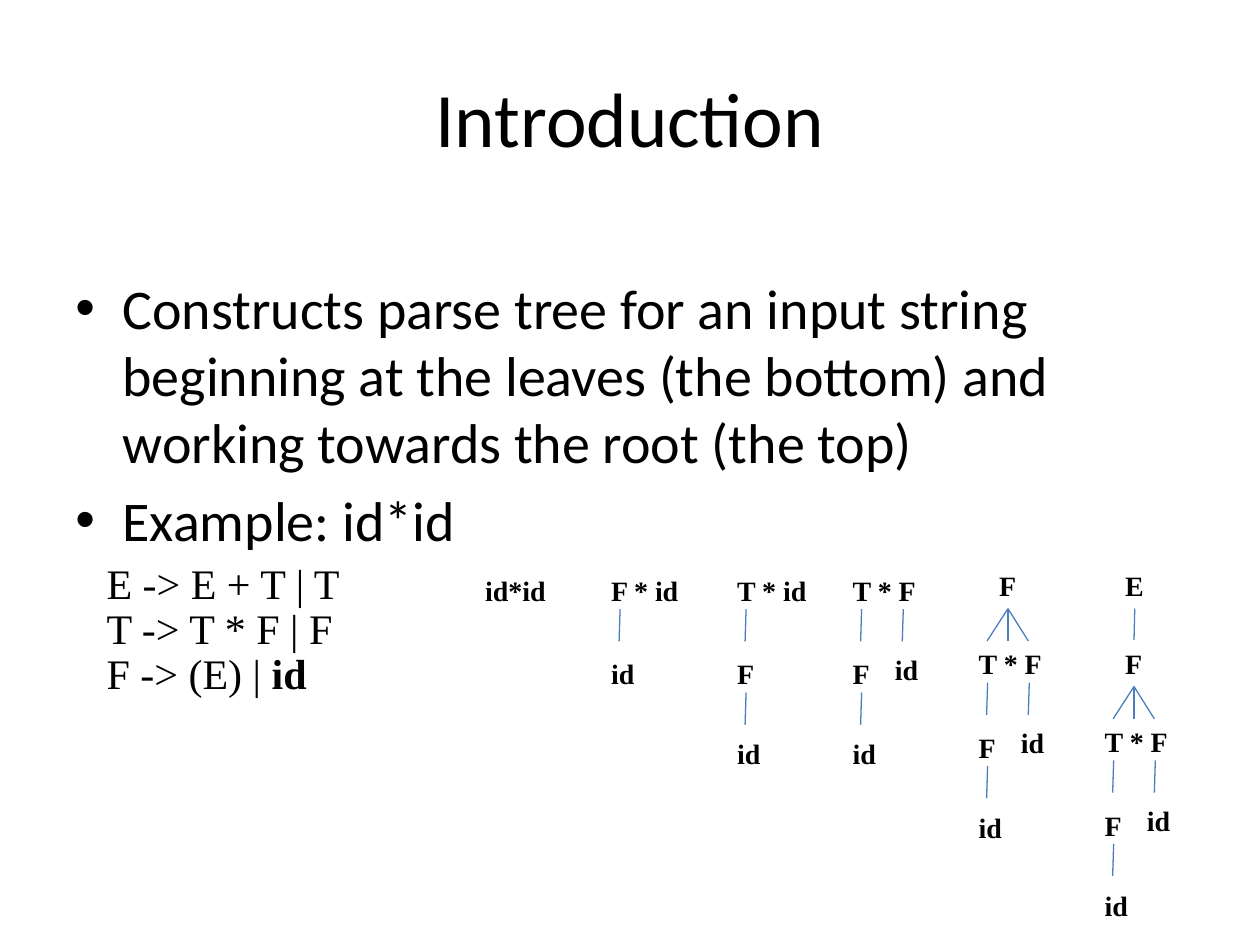
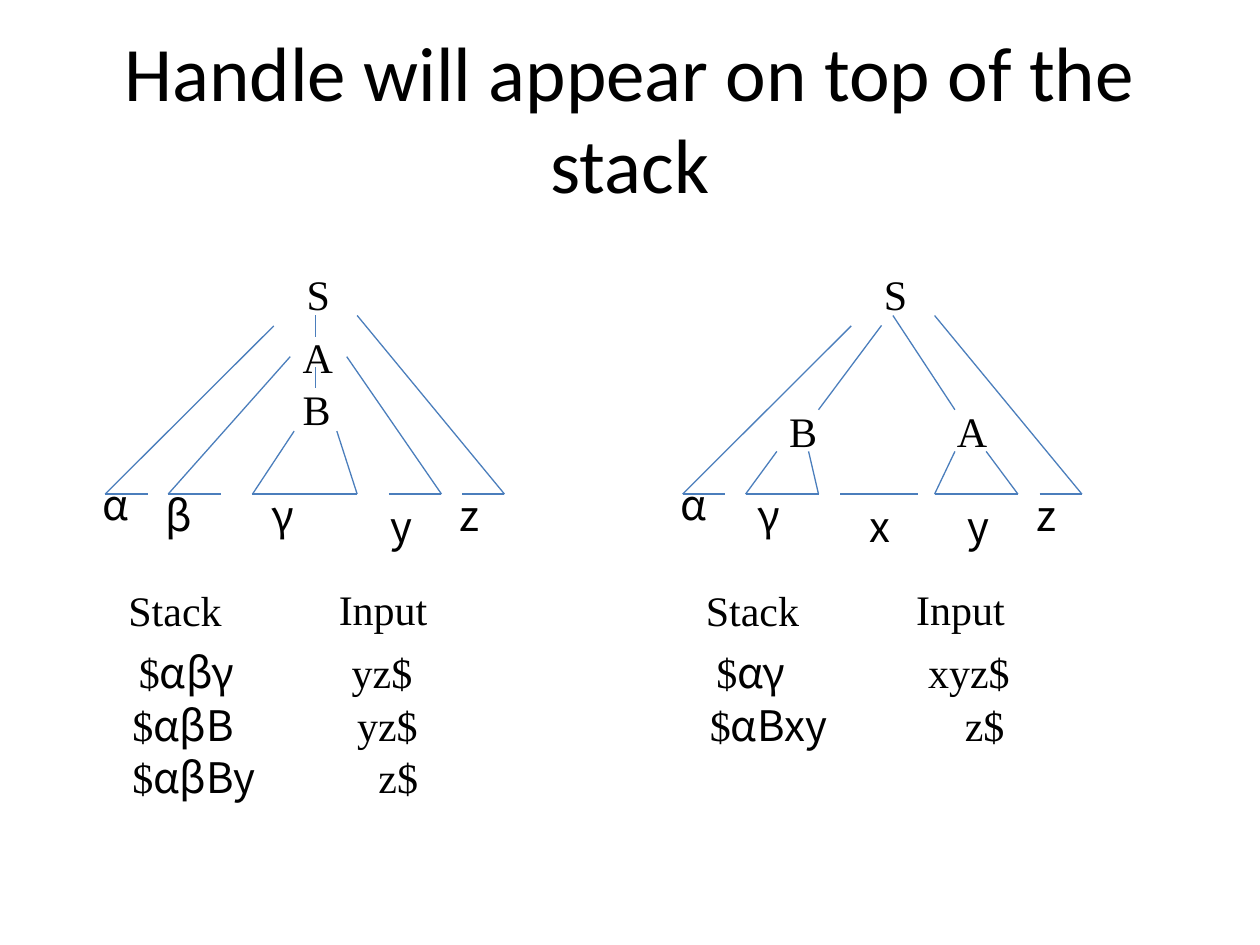
from dataclasses import dataclass

from lxml.etree import SubElement
from pptx import Presentation
from pptx.dml.color import RGBColor
from pptx.enum.shapes import MSO_CONNECTOR
from pptx.enum.text import MSO_ANCHOR, PP_ALIGN
from pptx.oxml.ns import qn
from pptx.util import Cm, Pt


@dataclass(frozen=True)
class Theme:
    ink: RGBColor = RGBColor(0, 0, 0)
    edge: RGBColor = RGBColor(0x4B, 0x7E, 0xBC)
    sans: str = "Calibri"
    serif: str = "Times New Roman"
    greek: str = "Noto Sans CJK JP"
    title: int = 44
    body: int = 32
    text: int = 24
    node: int = 16
    rule: float = 0.75


T = Theme()

# Box widths in cm, by word
NODES = {"F": 0.86, "E": 0.89, "id": 0.99, "id*id": 1.9}
WIDTHS = {"S": 0.99, "A": 1.14, "B": 1.09, "x": 0.94, "y": 0.94, "z": 0.94,
          "Stack": 2.41, "Input": 2.31, "yz$": 1.75, "xyz$": 2.18, "z$": 1.32}
WIDE, GREEK, ROW = 2.11, 1.37, 3.5


# Shared parts
def add_run(para, text, size, font, bold=False):
    run = para.add_run()
    run.text = text
    run.font.size = Pt(size)
    run.font.name = font
    run.font.bold = bold
    run.font.color.rgb = T.ink


def add_box(slide, x, y, w, h, wrap=True):
    box = slide.shapes.add_textbox(Cm(x), Cm(y), Cm(w), Cm(h))
    box.text_frame.word_wrap = wrap
    return box


def add_line(slide, x1, y1, x2, y2):
    line = slide.shapes.add_connector(
        MSO_CONNECTOR.STRAIGHT, Cm(x1), Cm(y1), Cm(x2), Cm(y2))
    line.line.color.rgb = T.edge
    line.line.width = Pt(T.rule)
    SubElement(line._element.spPr, qn("a:effectLst"))
    return line


def add_slide(deck, text):
    slide = deck.slides.add_slide(deck.slide_layouts[5])
    head = slide.shapes.title
    head.left, head.top = Cm(1.27), Cm(0.76)
    head.width, head.height = Cm(22.86), Cm(3.18)
    head.text_frame.vertical_anchor = MSO_ANCHOR.MIDDLE
    para = head.text_frame.paragraphs[0]
    para.alignment = PP_ALIGN.CENTER
    add_run(para, text, T.title, T.sans)
    return slide


def add_paras(frame, items):
    """Yield one paragraph of the frame for each item."""
    for i, item in enumerate(items):
        yield (frame.add_paragraph() if i else frame.paragraphs[0]), item


def set_indent(para, size):
    props = para._p.get_or_add_pPr()
    props.set("marL", str(Cm(size)))
    props.set("indent", str(-Cm(size)))
    return props


# Introduction: bullets and grammar
def add_points(slide, x, y, items):
    frame = add_box(slide, x, y, 22.86, 5).text_frame
    for para, item in add_paras(frame, items):
        para.space_before = Pt(0.2 * T.body)
        props = set_indent(para, 0.95)
        SubElement(props, qn("a:buFont"), typeface="Arial")
        SubElement(props, qn("a:buChar"), char="•")
        add_run(para, item, T.body, T.sans)


def add_rules(slide, x, y, rules):
    frame = add_box(slide, x, y, 12.7, 3.02).text_frame
    for para, (plain, bold) in add_paras(frame, rules):
        set_indent(para, 1.27)
        para.line_spacing = 0.9
        add_run(para, plain, T.text, T.serif)
        if bold:
            add_run(para, bold, T.text, T.serif, True)


# Introduction: steps of the parse
def add_node(slide, x, y, text):
    box = add_box(slide, x, y, NODES.get(text, WIDE), 0.94, False)
    add_run(box.text_frame.paragraphs[0], text, T.node, T.serif, True)
    return box


def add_chain(slide, x, y, words):
    drops = (0, 1.69, 3.3)
    for word, drop in zip(words, drops):
        add_node(slide, x, y + drop, word)
    for start in (0.85, 2.53)[:len(words) - 1]:
        add_line(slide, x + 0.43, y + start, x + 0.41, y + start + 0.65)


def add_fork(slide, x, y):
    """Chain for T * F with a second branch on its right."""
    add_chain(slide, x, y, ("T * F", "F", "id"))
    add_line(slide, x + 1.27, y + 0.85, x + 1.25, y + 1.5)
    add_node(slide, x + 0.85, y + 1.6, "id")


def add_tree(slide, x, y):
    """Fork under a root F; returns the root."""
    root = add_node(slide, x + 0.41, y, "F")
    for end in (0.42, 0.84, 1.25):
        line = add_line(slide, x + 0.84, y + 0.94, x + end, y + 1.59)
        line.begin_connect(root, 2)
    add_fork(slide, x, y + 1.58)
    return root


def add_steps(slide, x, y):
    add_chain(slide, x, y, ("id*id",))
    add_chain(slide, x + 2.54, y, ("F * id", "id"))
    add_chain(slide, x + 5.08, y, ("T * id", "F", "id"))
    add_fork(slide, x + 7.41, y)
    add_tree(slide, x + 9.95, y - 0.1)
    last = x + 12.49
    root = add_tree(slide, last, y + 1.47)
    start = add_node(slide, last + 0.41, y - 0.1, "E")
    line = add_line(slide, last + 0.84, y + 0.84, last + 0.84, y + 1.47)
    line.begin_connect(start, 2)
    line.end_connect(root, 0)


# Handle slide: one derivation with its stack and input
BASE = 4.67  # depth of the leaf line below the panel's top
FRAME_LINES = [(3.4, 1.28, 0, BASE), (5.08, 1.07, 8.05, BASE)]
FRAME_BASES = [(0, 0.86), (7.2, 8.05)]
FRAME_WORDS = [("S", 3.81, 0), ("α", -0.3, 4.24), ("y", 5.5, BASE),
               ("z", 6.89, 4.45), ("Stack", 0.22, 6.36), ("Input", 4.46, 6.35)]

NESTED = dict(
    lines=[(3.73, 1.9, 1.27, BASE), (4.87, 1.9, 6.78, BASE),
           (3.81, 3.4, 2.97, BASE), (4.67, 3.4, 5.08, BASE),
           (4.24, 1.07, 4.24, 1.5), (4.24, 2.11, 4.24, 2.54)],
    bases=[(1.27, 2.33), (2.97, 5.08), (5.72, 6.78)],
    words=[("A", 3.73, 1.27), ("B", 3.73, 2.31),
           ("β", 0.97, 4.45), ("γ", 3.1, 4.45)],
    rows=[("αβγ", "yz$", 4.72), ("αβB", "yz$", 4.83), ("αβBy", "z$", 5.26)])

SPLIT = dict(
    lines=[(4.24, 1.07, 5.49, 2.97), (4.01, 1.27, 2.74, 2.97),
           (1.9, 3.81, 1.27, BASE), (2.54, 3.81, 2.74, BASE),
           (5.49, 3.81, 5.08, BASE), (6.12, 3.81, 6.76, BASE)],
    bases=[(1.27, 2.74), (3.18, 4.75), (5.08, 6.76)],
    words=[("A", 5.28, 2.77), ("B", 1.9, 2.77),
           ("γ", 1.27, 4.45), ("x", 3.51, BASE)],
    rows=[("αγ", "xyz$", 4.7), ("αBxy", "z$", 5.44)])


def add_word(slide, x, y, text):
    box = add_box(slide, x, y, WIDTHS.get(text, GREEK), 1.28, False)
    font = T.greek if text in "αβγxyz" else T.serif
    add_run(box.text_frame.paragraphs[0], text, T.text, font)


def add_panel(slide, x, y, lines, bases, words, rows):
    for x1, y1, x2, y2 in FRAME_LINES + lines:
        add_line(slide, x + x1, y + y1, x + x2, y + y2)
    for x1, x2 in FRAME_BASES + bases:
        add_line(slide, x + x1, y + BASE, x + x2, y + BASE)
    for text, dx, dy in FRAME_WORDS + words:
        add_word(slide, x + dx, y + dy, text)
    for i, (stack, rest, dx) in enumerate(rows):
        top = y + 7.62 + 1.06 * i
        left = x + (0.3 if i else 0.43)
        para = add_box(slide, left, top, ROW, 1.28).text_frame.paragraphs[0]
        add_run(para, "$", T.text, T.serif)
        add_run(para, stack, T.text, T.greek)
        add_word(slide, x + dx, top, rest)


# Slides
def make_intro(deck):
    slide = add_slide(deck, "Introduction")
    add_points(slide, 1.27, 5.38, [
        "Constructs parse tree for an input string beginning at the leaves "
        "(the bottom) and working towards the root (the top)",
        "Example: id*id"])
    add_rules(slide, 1.9, 11.22, [
        ("E -> E + T | T", ""), ("T -> T * F | F", ""), ("F -> (E) | ", "id")])
    add_steps(slide, 9.53, 11.43)


def make_handle(deck):
    slide = add_slide(deck, "Handle will appear on top of the stack")
    add_panel(slide, 2.12, 5.29, **NESTED)
    add_panel(slide, 13.76, 5.29, **SPLIT)


def main():
    deck = Presentation()
    deck.slide_width, deck.slide_height = Cm(25.4), Cm(19.05)
    make_intro(deck)
    make_handle(deck)
    deck.save("out.pptx")


if __name__ == "__main__":
    main()
